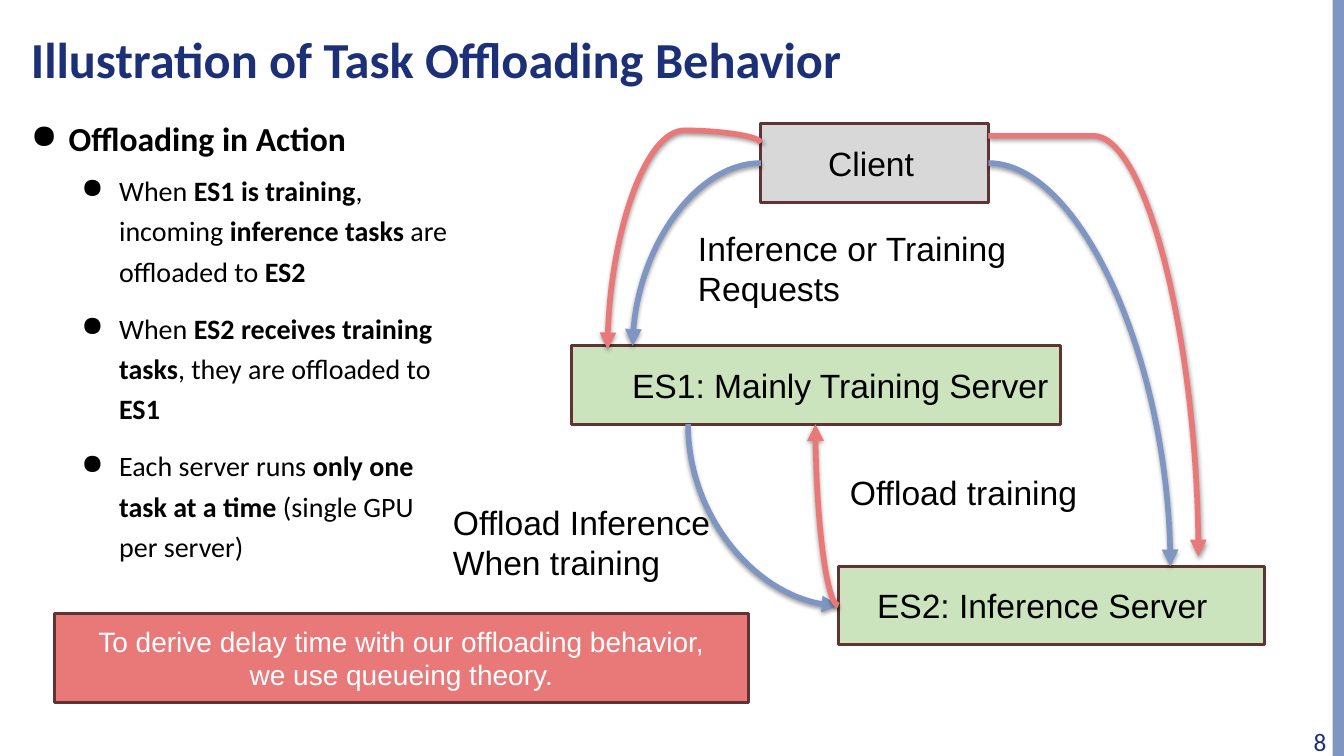
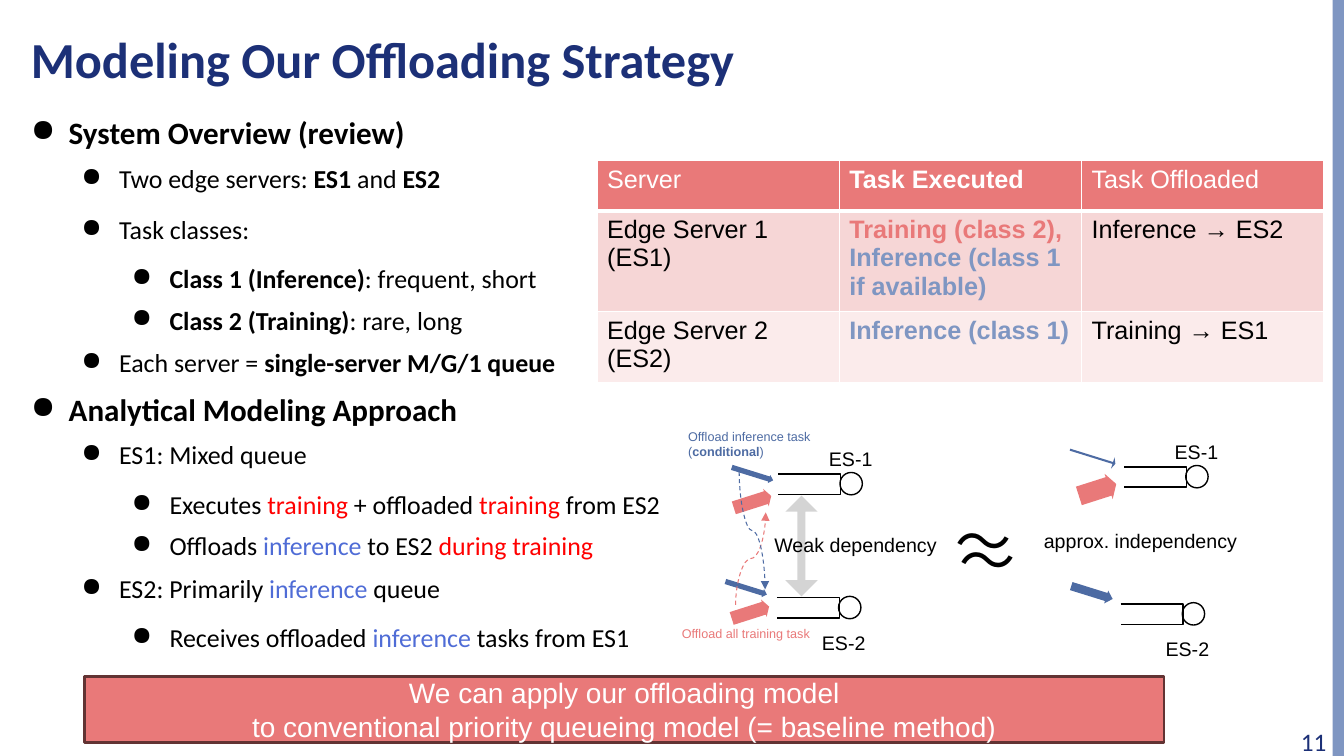
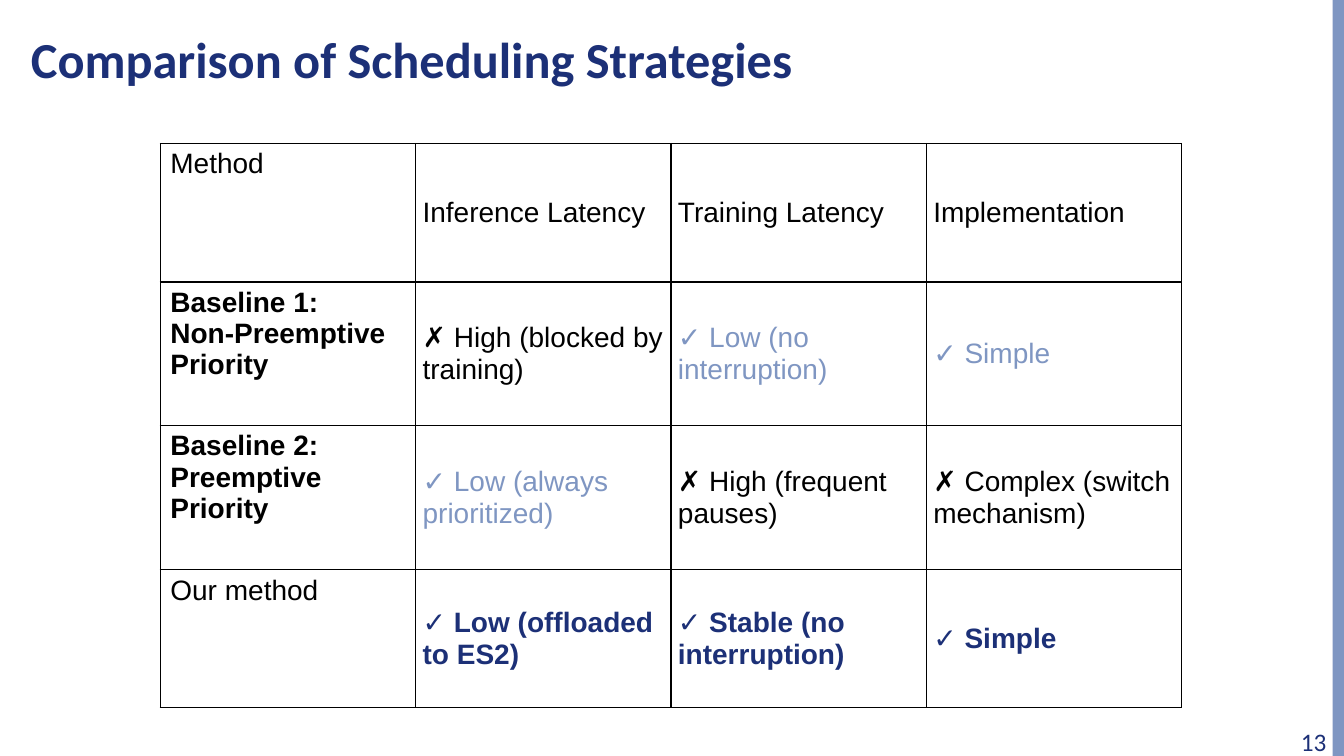
from lxml import etree
from pptx import Presentation
from pptx.dml.color import RGBColor
from pptx.enum import dml, shapes, text
from pptx.oxml.ns import qn
from pptx.util import Pt

NAVY = RGBColor(0x1C, 0x30, 0x77)
SLATE = RGBColor(0x7F, 0x96, 0xC2)
STEEL = RGBColor(0x4D, 0x6B, 0xA3)
CORAL = RGBColor(0xE9, 0x79, 0x79)
BROWN = RGBColor(0x62, 0x33, 0x33)
GREEN = RGBColor(0xCC, 0xE4, 0xBE)
GREY = RGBColor(0xD8, 0xD8, 0xD8)
ARROW_GREY = RGBColor(0x99, 0x99, 0x99)
RED = RGBColor(0xFF, 0x00, 0x00)
BLUE = RGBColor(0x4F, 0x6C, 0xD6)
ROSE = RGBColor(0xF6, 0xD6, 0xD6)
PALE_ROSE = RGBColor(0xFB, 0xEB, 0xEB)
BLACK = RGBColor(0, 0, 0)
WHITE = RGBColor(0xFF, 0xFF, 0xFF)
KIND = shapes.MSO_SHAPE


def bold(words, color=BLACK):
    """Return a bold run."""
    return words, color, True


def red(words):
    """Return a red run."""
    return words, RED, False


def blue(words):
    """Return a blue run."""
    return words, BLUE, False


def add_runs(p, runs, size, font="Arial", color=BLACK, strong=False):
    """Fill a paragraph with plain strings and (text, colour, bold) runs."""
    for run in [runs] if isinstance(runs, (str, tuple)) else runs:
        words, tint, weight = (run, color, strong) if isinstance(run, str) else run
        r = p.add_run()
        r.text = words
        r.font.name, r.font.size, r.font.bold = font, Pt(size), weight
        r.font.color.rgb = tint


def write(tf, paras, size, align=None, **style):
    """Write paragraphs into a text frame and return them."""
    tf.word_wrap = True
    for i, runs in enumerate(paras):
        p = tf.add_paragraph() if i else tf.paragraphs[0]
        p.alignment = align
        add_runs(p, runs, size, **style)
    return tf.paragraphs


def add_label(sl, box, paras, size, **style):
    """Add a text box and return its text frame."""
    tf = sl.shapes.add_textbox(*map(Pt, box)).text_frame
    write(tf, paras, size, **style)
    return tf


def add_block(sl, kind, box, fill=None, line=None, width=1, rotation=0, adj=()):
    """Add a preset shape with the given fill, outline and adjustments."""
    sp = sl.shapes.add_shape(kind, *map(Pt, box))
    sp.shadow.inherit = False
    sp.rotation = rotation
    for i, value in enumerate(adj):
        sp.adjustments[i] = value
    if fill is None:
        sp.fill.background()
    else:
        sp.fill.solid()
        sp.fill.fore_color.rgb = fill
    if line is None:
        sp.line.fill.background()
    else:
        sp.line.color.rgb = line
        sp.line.width = Pt(width)
    return sp


def add_curve(sl, start, end, color, width, vertical=False, adj=None, dash=False):
    """Add a curved arrow that leaves its start sideways or vertically."""
    (x1, y1), (x2, y2) = start, end
    dx, dy = x2 - x1, y2 - y1
    w, h = (abs(dy), abs(dx)) if vertical else (abs(dx), abs(dy))
    c = sl.shapes.add_connector(shapes.MSO_CONNECTOR.CURVE, 0, 0, 0, 0)
    c.left, c.top = Pt((x1 + x2 - w) / 2), Pt((y1 + y2 - h) / 2)
    c.width, c.height = Pt(w), Pt(h)
    pr = c._element.spPr
    if vertical:
        pr.xfrm.set("rot", str((270 if dx > 0 else 90) * 60000))
        flips = {"flipH": (dx > 0) == (dy > 0)}
    else:
        flips = {"flipH": dx < 0, "flipV": dy < 0}
    for name, on in flips.items():
        pr.xfrm.set(name, str(int(on)))
    geom = pr.find(qn("a:prstGeom"))
    if adj is None:
        geom.set("prst", "curvedConnector2")
    else:
        av = geom.find(qn("a:avLst"))
        etree.SubElement(av, qn("a:gd"), name="adj1", fmla=f"val {round(adj * 100000)}")
    c.line.color.rgb = color
    c.line.width = Pt(width)
    if dash:
        c.line.dash_style = dml.MSO_LINE.DASH
    etree.SubElement(pr.find(qn("a:ln")), qn("a:tailEnd"), type="triangle")
    effects = etree.SubElement(pr, qn("a:effectLst"))
    if not dash:
        shade = etree.SubElement(effects, qn("a:outerShdw"), blurRad="40000",
                                 dist="20000", dir="5400000", rotWithShape="0")
        tint = etree.SubElement(shade, qn("a:srgbClr"), val="000000")
        etree.SubElement(tint, qn("a:alpha"), val="38000")


def add_base(prs, title, number):
    """Add a slide with the side band, title and page number."""
    sl = prs.slides.add_slide(prs.slide_layouts[6])
    add_block(sl, KIND.RECTANGLE, (952, 0, 8, 540), SLATE)
    tf = add_label(sl, (15, 21.5, 704, 40), [title], 36,
                   font="Calibri", color=NAVY, strong=True)
    tf.paragraphs[0].line_spacing = 0.9
    tf = add_label(sl, (903.5, 520, 51, 19.5), [str(number)], 18,
                   align=text.PP_ALIGN.RIGHT, font="Calibri", color=NAVY)
    tf.vertical_anchor = text.MSO_ANCHOR.MIDDLE
    return sl


def add_outline(sl, box, items, sizes, spacing):
    """Add a bulleted outline of (level, space before, runs) items."""
    tf = sl.shapes.add_textbox(*map(Pt, box)).text_frame
    tf.word_wrap = True
    for i, (level, before, runs) in enumerate(items):
        p = tf.add_paragraph() if i else tf.paragraphs[0]
        pr = p._p.get_or_add_pPr()
        pr.set("marL", str(Pt(27 + 36 * level)))
        pr.set("indent", str(-Pt(27)))
        tint = etree.SubElement(pr, qn("a:buClr"))
        etree.SubElement(tint, qn("a:srgbClr"), val=str(BLACK))
        etree.SubElement(pr, qn("a:buChar"), char="●")
        p.level = level
        p.line_spacing = spacing
        if i:
            p.space_before = Pt(before)
        add_runs(p, runs, sizes[min(level, 1)], font="Calibri", strong=level == 0)


def add_callout(sl, box, lines):
    """Add the coral conclusion box."""
    sp = add_block(sl, KIND.RECTANGLE, box, CORAL, BROWN, 2)
    sp.text_frame.vertical_anchor = text.MSO_ANCHOR.MIDDLE
    write(sp.text_frame, lines, 20, align=text.PP_ALIGN.CENTER, color=WHITE)


def add_node(sl, box, name, inset, fill):
    """Add a named machine of the offloading diagram."""
    sp = add_block(sl, KIND.RECTANGLE, box, fill, BROWN, 2)
    tf = sp.text_frame
    tf.margin_left, tf.margin_right = Pt(inset), 0
    tf.vertical_anchor = text.MSO_ANCHOR.MIDDLE
    write(tf, [name], 24, align=text.PP_ALIGN.LEFT)


def add_offloading_diagram(sl, x, y):
    """Draw the client, both edge servers and their request flows."""
    for (dx, dy, w), name, inset, fill in (
            ((135.5, 0, 162.5), "Client", 48, GREY),
            ((0, 158.5, 349.5), "ES1: Mainly Training Server", 43.5, GREEN),
            ((191, 316, 304.5), "ES2: Inference Server", 27.5, GREEN)):
        add_node(sl, (x + dx, y + dy, w, 56), name, inset, fill)
    for (x1, y1), (x2, y2), color, vertical, adj in (
            ((135.5, 28), (44, 158.5), SLATE, False, None),
            ((298, 28), (428, 316), SLATE, False, None),
            ((83.5, 214.5), (191, 344), SLATE, True, None),
            ((191, 344), (174.5, 214.5), CORAL, False, None),
            ((135.5, 13.5), (26, 161), CORAL, True, -0.06),
            ((298, 8.5), (448, 309), CORAL, True, 0)):
        add_curve(sl, (x + x1, y + y1), (x + x2, y + y2), color, 4, vertical, adj)
    for dx, dy, h, lines in (
            (83.5, 70.5, 65, ["Inference or Training Requests"]),
            (-91.5, 266.5, 65, ["Offload Inference", "When training"]),
            (192, 245, 36, ["Offload training"])):
        add_label(sl, (x + dx, y + dy, 255, h), lines, 24)


def add_queue(sl, x, y, name, label_at, inference, training=None, adj=(0.63, 0.51)):
    """Draw a queue with its server, label and arrival arrows."""
    add_block(sl, KIND.RIGHT_BRACKET, (x, y, 44.5, 14.5), line=BLACK, adj=(0,))
    add_block(sl, KIND.OVAL, (x + 44, y - 1, 16, 16), line=BLACK)
    add_label(sl, (x + label_at[0], y + label_at[1], 50, 24.5), [name], 14)
    for arrow, color, rotation, shape in ((training, CORAL, 342.3, (0.73, 0.3)),
                                          (inference, STEEL, 17.3, adj)):
        if arrow:
            dx, dy, w, h = arrow
            add_block(sl, KIND.RIGHT_ARROW, (x + dx, y + dy, w, h), color,
                      rotation=rotation, adj=shape)


def add_queue_diagram(sl, x, y):
    """Draw the dependent queues beside their independent approximation."""
    sp = add_block(sl, KIND.UP_DOWN_ARROW, (x + 81, y + 52, 23, 72), ARROW_GREY,
                   adj=(0.5, 0.25))
    tint = sp._element.spPr.find(qn("a:solidFill"))[0]
    etree.SubElement(tint, qn("a:alpha"), val="42000")
    above, below = (29, -23), (25, 20)
    add_queue(sl, x + 76, y + 36.5, "ES-1", above, (-34, -3, 31, 6), (-32.5, 13.5, 28, 13))
    add_queue(sl, x + 75, y + 125, "ES-2", below, (-37.5, -10, 31, 6), (-33, 4, 28, 13))
    add_queue(sl, x + 323, y + 31.5, "ES-1", above, (-39.5, -11.5, 34, 8.5),
              (-33, 7, 28, 19), adj=(0.17, 0.23))
    add_queue(sl, x + 320.5, y + 129.5, "ES-2", below, (-36, -13, 31, 9.5))
    for (x1, y1), (x2, y2), color in (((45.5, 130), (67, 64), CORAL),
                                      ((48, 35), (66.5, 119), STEEL)):
        add_curve(sl, (x + x1, y + y1), (x + x2, y + y2), color, 0.75,
                  vertical=True, adj=0.5, dash=True)
    for dx, dy, w, h, lines, size, color in (
            (0, 141.5, 110, 18, ["Offload all training task"], 9, CORAL),
            (4.5, 0.5, 108, 29, ["Offload inference task",
                                 ["(", bold("conditional", STEEL), ")"]], 9, STEEL),
            (66, 75, 140, 24.5, ["Weak dependency"], 14, BLACK),
            (258.5, 72.5, 165, 24.5, ["approx. independency"], 14, BLACK),
            (195.5, 56.5, 58, 55, ["〜"], 40, BLACK),
            (198.5, 69.5, 58, 55, ["〜"], 40, BLACK)):
        add_label(sl, (x + dx, y + dy, w, h), lines, size, color=color)


def set_borders(cell, color, width, bottom):
    """Draw the four borders of a table cell."""
    pr = cell._tc.get_or_add_tcPr()
    for side in "LRTB":
        thickness = bottom if side == "B" else width
        ln = etree.SubElement(pr, qn("a:ln" + side), w=str(Pt(thickness)))
        tint = etree.SubElement(ln, qn("a:solidFill"))
        etree.SubElement(tint, qn("a:srgbClr"), val=str(color))


def add_grid(sl, x, y, col_width, heights, rows, size, border, fills=None):
    """Add a table, filled by row or left clear with centred value cells."""
    count = len(rows[0])
    table = sl.shapes.add_table(len(rows), count, Pt(x), Pt(y),
                                Pt(col_width * count), Pt(sum(heights))).table
    for col in table.columns:
        col.width = Pt(col_width)
    for i, (height, row) in enumerate(zip(heights, rows)):
        table.rows[i].height = Pt(height)
        for j, paras in enumerate(row):
            cell = table.cell(i, j)
            set_borders(cell, border, 1, 3 if fills and i == 0 else 1)
            if fills:
                cell.fill.solid()
                cell.fill.fore_color.rgb = fills[i]
            else:
                cell.fill.background()
                if j:
                    cell.vertical_anchor = text.MSO_ANCHOR.MIDDLE
                    cell.margin_left = cell.margin_right = Pt(5)
                    cell.margin_top = cell.margin_bottom = Pt(2.5)
            color = WHITE if fills and i == 0 else BLACK
            write(cell.text_frame, paras, size, color=color, strong=False)


def build_behavior(prs):
    """Build the task offloading slide."""
    sl = add_base(prs, "Illustration of Task Offloading Behavior", 8)
    add_outline(sl, (15, 75, 315.5, 346), [
        (0, 0, "Offloading in Action"),
        (1, 6, ["When ", bold("ES1 is training"), ", incoming ",
                bold("inference tasks"), " are offloaded to ", bold("ES2")]),
        (1, 12, ["When ", bold("ES2 receives training tasks"),
                 ", they are offloaded to ", bold("ES1")]),
        (1, 12, ["Each server runs ", bold("only one task at a time"),
                 " (single GPU per server)"]),
    ], (24, 20), 1.2)
    add_offloading_diagram(sl, 408, 88.5)
    add_callout(sl, (39, 438, 495.5, 64),
                ["To derive delay time with our offloading behavior,",
                 "we use queueing theory."])


def build_modeling(prs):
    """Build the modeling slide."""
    sl = add_base(prs, "Modeling Our Offloading Strategy", 11)
    add_outline(sl, (15, 75, 918.5, 409.5), [
        (0, 0, "System Overview (review)"),
        (1, 6, ["Two edge servers: ", bold("ES1"), " and ", bold("ES2")]),
        (1, 12, "Task classes:"),
        (2, 11, [bold("Class 1 (Inference)"), ": frequent, short"]),
        (2, 5, [bold("Class 2 (Training)"), ": rare, long"]),
        (1, 6, ["Each server = ", bold("single-server M/G/1 queue")]),
        (0, 6, "Analytical Modeling Approach"),
        (1, 6, "ES1: Mixed queue"),
        (2, 11, ["Executes ", red("training"), " + offloaded ", red("training"),
                 " from ES2"]),
        (2, 5, ["Offloads ", blue("inference"), " to ES2 ", red("during training")]),
        (1, 6, ["ES2: Primarily ", blue("inference"), " queue"]),
        (2, 11, ["Receives offloaded ", blue("inference"), " tasks from ES1"]),
    ], (22.2, 18.5), 1.1)
    add_queue_diagram(sl, 480, 302)
    add_grid(sl, 426.5, 114.5, 173, (36, 71.5, 50.5), [
        [["Server"], [bold("Task Executed", WHITE)], ["Task Offloaded"]],
        [["Edge Server 1 (ES1)"],
         [[bold("Training (class 2), ", CORAL),
           bold("Inference (class 1 if available)", SLATE)]],
         ["Inference → ES2"]],
        [["Edge Server 2 (ES2)"], [bold("Inference (class 1)", SLATE)],
         ["Training → ES1"]],
    ], 18, WHITE, (CORAL, ROSE, PALE_ROSE))
    add_callout(sl, (60.5, 483, 771, 47.5),
                ["We can apply our offloading model",
                 "to conventional priority queueing model (= baseline method)"])


def build_comparison(prs):
    """Build the scheduling comparison slide."""
    sl = add_base(prs, "Comparison of Scheduling Strategies", 13)
    add_grid(sl, 114.5, 102.5, 182.4, (99, 102.5, 103, 98.5), [
        [["Method"], ["Inference Latency"], ["Training Latency"], ["Implementation"]],
        [[bold("Baseline 1:"), bold("Non-Preemptive Priority")],
         ["✗ High (blocked by training)"],
         [("✓ Low (no interruption)", SLATE, False)],
         [("✓ Simple", SLATE, False)]],
        [[bold("Baseline 2:"), bold("Preemptive Priority")],
         [("✓ Low (always prioritized)", SLATE, False)],
         ["✗ High (frequent pauses)"],
         ["✗ Complex (switch mechanism)"]],
        [["Our method"], [bold("✓ Low (offloaded to ES2)", NAVY)],
         [bold("✓ Stable (no interruption)", NAVY)], [bold("✓ Simple", NAVY)]],
    ], 20, BLACK)


def main():
    """Build and save the presentation."""
    prs = Presentation()
    prs.slide_width, prs.slide_height = Pt(960), Pt(540)
    build_behavior(prs)
    build_modeling(prs)
    build_comparison(prs)
    prs.save("out.pptx")


if __name__ == "__main__":
    main()
